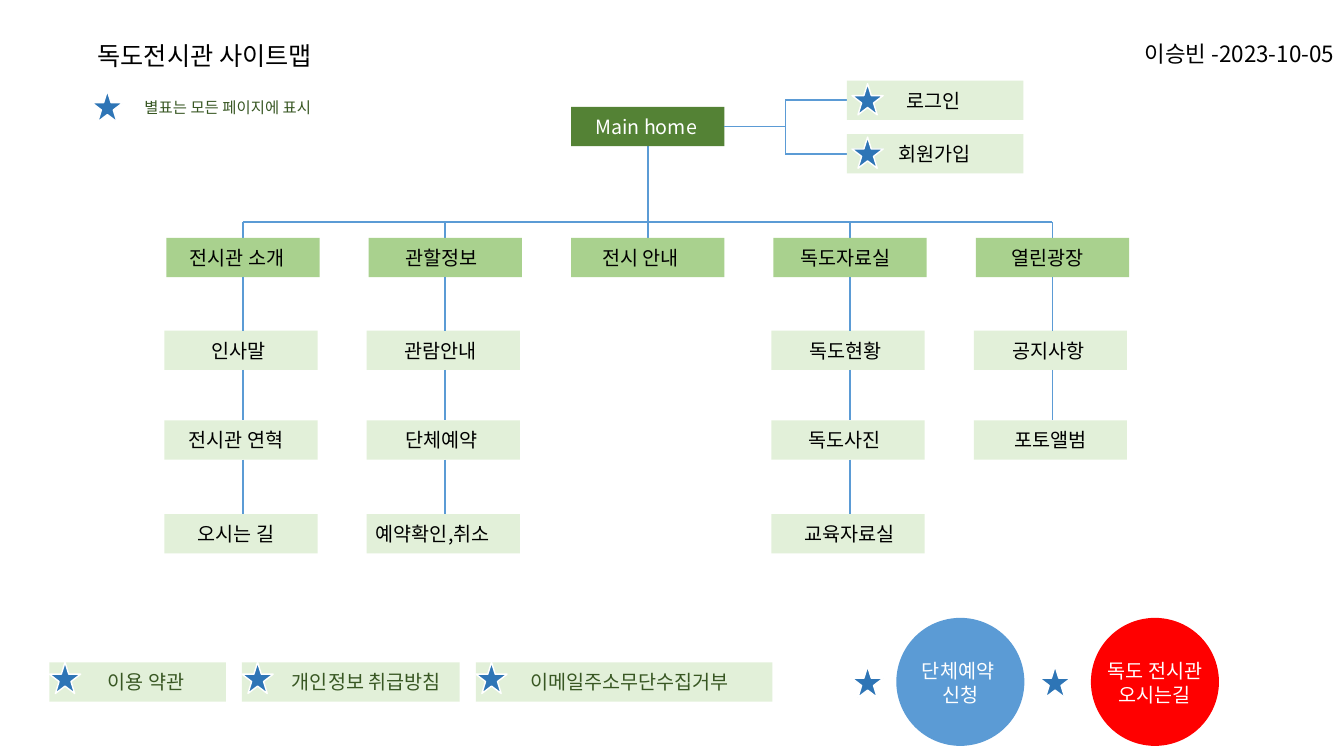
from lxml import etree
from pptx import Presentation
from pptx.dml.color import RGBColor
from pptx.enum.shapes import MSO_CONNECTOR, MSO_SHAPE
from pptx.enum.text import MSO_ANCHOR, PP_ALIGN
from pptx.oxml.ns import qn
from pptx.util import Inches, Pt

RECT, OVAL, STAR = MSO_SHAPE.RECTANGLE, MSO_SHAPE.OVAL, MSO_SHAPE.STAR_5_POINT
LINE = MSO_CONNECTOR.STRAIGHT
LEFT, MID, RIGHT = PP_ALIGN.LEFT, PP_ALIGN.CENTER, PP_ALIGN.RIGHT
FONT = "Noto Sans CJK KR"
HEX = dict(dark="548235", head="A9D18E", pale="E2F0D9", moss="385723",
           blue="5B9BD5", star="2E75B6", red="FF0000",
           white="FFFFFF", black="000000")

# Content: each menu label has its indent inside the box
MENU = [
    [("전시관 소개", .23), ("인사말", .47), ("전시관 연혁", .24), ("오시는 길", .33)],
    [("관할정보", .36), ("관람안내", .37), ("단체예약", .38), ("예약확인,취소", .09)],
    [("전시 안내", .31)],
    [("독도자료실", .27), ("독도현황", .38), ("독도사진", .37), ("교육자료실", .33)],
    [("열린광장", .35), ("공지사항", .38), ("포토앨범", .4)],
]
LOGIN = [("로그인", .59), ("회원가입", .51)]
# Footer: label, left, width, right inset
FOOT = [("이용 약관", .49, 1.75, .14),
        ("개인정보 취급방침", 2.4, 2.16, 0),
        ("이메일주소무단수집거부", 4.72, 2.94, .2)]
# Round buttons: lines, left, star left, colour
ROUND = [(["단체예약 ", "신청"], 8.89, 8.45, "blue"),
         (["독도 전시관 오시는길"], 10.82, 10.31, "red")]

# Grid
X0, STEP, W, H = 1.65, 2.007, 1.52, .39
ROWS = [2.36, 3.28, 4.17, 5.1]
BUS, TOP, HOME = 2.2, 1.06, 2
FORK, SIDE, FOOTY, SIZE, DISC = 7.79, 8.4, 6.57, .31, 1.27

deck = Presentation()
deck.slide_width, deck.slide_height = Inches(13.33), Inches(7.5)
page = deck.slides.add_slide(deck.slide_layouts[6]).shapes


def rgb(name):
    return RGBColor.from_string(HEX[name])


def write(item, lines, color, align=MID, size=14, pad=(.1, .1)):
    frame = item.text_frame
    frame.word_wrap = True
    frame.vertical_anchor = MSO_ANCHOR.MIDDLE
    frame.margin_left, frame.margin_right = map(Inches, pad)
    frame.margin_top = frame.margin_bottom = 0
    frame.text = "\n".join(lines)
    for para in frame.paragraphs:
        para.alignment = align
        font = para.font
        font.size, font.name = Pt(size), FONT
        font.color.rgb = rgb(color)
        props = para._p.pPr.find(qn("a:defRPr"))
        props.find(qn("a:latin")).addnext(
            etree.Element(qn("a:ea"), typeface=FONT))


def text(x, y, w, h, lines, color, **opts):
    write(page.add_textbox(*map(Inches, (x, y, w, h))), lines, color, **opts)


def shape(kind, x, y, w, h, fill):
    item = page.add_shape(kind, *map(Inches, (x, y, w, h)))
    item.shadow.inherit = False
    item.fill.solid()
    item.fill.fore_color.rgb = rgb(fill)
    item.line.fill.background()
    return item


def label(x, y, w, fill, name, pad, color="black"):
    write(shape(RECT, x, y, w, H, fill), [name], color,
          align=LEFT, pad=(pad, 0))


def star(x, y):
    item = shape(STAR, x, y, SIZE, SIZE, "star")
    item.line.color.rgb = rgb("white")
    item.line.width = Pt(1)


def line(*ends):
    item = page.add_connector(LINE, *map(Inches, ends))
    item.line.color.rgb = rgb("blue")
    item.line.width = Pt(1.25)
    etree.SubElement(item._element.spPr, qn("a:effectLst"))


# Titles and legend
text(.2, .35, 3.66, .4, ["독도전시관 사이트맵"], "black", size=18)
text(7.85, .35, 5.48, .37, ["이승빈 -2023-10-05"], "black", align=RIGHT, size=16)
text(1.22, .92, 2.08, .29, ["별표는 모든 페이지에 표시"], "moss", size=11)
star(.91, .9)

# Menu tree
mids = [X0 + STEP * col + W / 2 for col in range(len(MENU))]
line(mids[0], BUS, mids[-1], BUS)
for col, (mid, items) in enumerate(zip(mids, MENU)):
    line(mid, TOP + H if col == HOME else BUS, mid, ROWS[0])
    for row, (name, pad) in enumerate(items):
        shift = .02 if row else 0
        label(mid - W / 2 - shift, ROWS[row], W,
              "pale" if row else "head", name, pad)
        if row:
            line(mid, ROWS[row - 1] + H, mid, ROWS[row])

# Home and its login branch
left = mids[HOME] - W / 2
label(left, TOP, W, "dark", "Main home", .24, "white")
line(left + W, TOP + H / 2, FORK, TOP + H / 2)
line(FORK, 1, FORK, 1.53)
for row, (name, pad) in enumerate(LOGIN):
    y = .8 + .53 * row
    line(FORK, y + H / 2, SIDE, y + H / 2)
    label(SIDE, y, 1.75, "pale", name, pad)
    star(SIDE + .05, y + .03)

# Footer links
for name, x, w, end in FOOT:
    write(shape(RECT, x, FOOTY, w, H, "pale"), [name], "moss",
          pad=(SIZE, end))
    star(x, FOOTY)

# Round buttons
for lines, x, spot, fill in ROUND:
    star(spot, 6.61)
    shape(OVAL, x, 6.13, DISC, DISC, fill)
    text(x, 6.49, DISC, .57, lines, "white")

deck.save("out.pptx")
